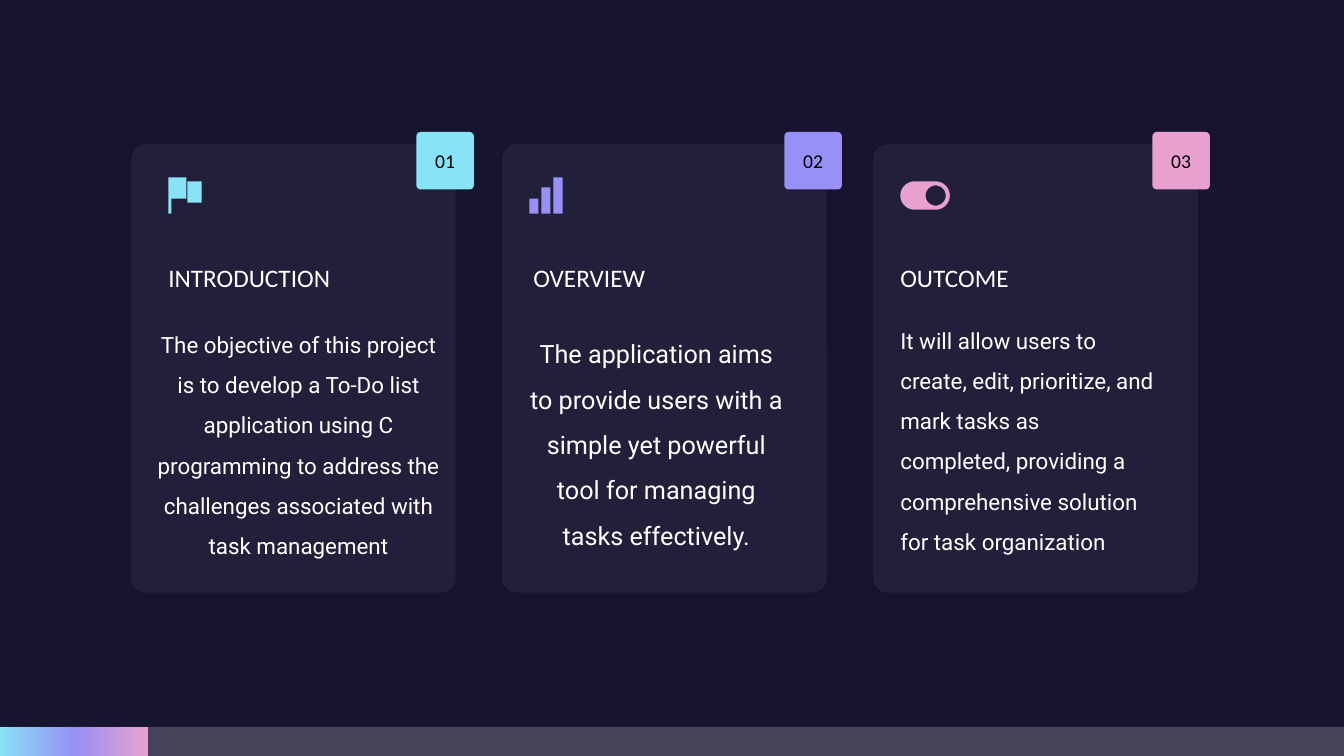
from copy import deepcopy
from dataclasses import dataclass
from math import cos, pi, sin

from lxml.etree import SubElement
from pptx import Presentation
from pptx.dml.color import RGBColor
from pptx.enum.shapes import MSO_SHAPE
from pptx.enum.text import MSO_ANCHOR, PP_ALIGN
from pptx.oxml.ns import qn
from pptx.shapes.autoshape import Shape
from pptx.slide import Slide
from pptx.text.text import TextFrame
from pptx.util import Inches, Pt

Path = list[tuple[float, float]]


@dataclass
class Card:
    title: str
    body: str
    tint: str
    icon: list[Path]
    title_left: float
    left: float
    top: float
    width: float
    height: float
    size: int
    align: PP_ALIGN


def color(code: str) -> RGBColor:
    return RGBColor.from_string(code)


def box(left: float, top: float, width: float, height: float) -> Path:
    right, base = left + width, top + height
    return [(left, top), (right, top), (right, base), (left, base)]


def arc(x: float, y: float, radius: float, start: int, end: int) -> Path:
    step = 6 if end > start else -6
    turns = [pi * angle / 180 for angle in range(start, end + step, step)]
    return [(x + radius * cos(turn), y + radius * sin(turn)) for turn in turns]


def paint(shape: Shape, code: str, alpha: int = 100) -> None:
    shape.shadow.inherit = False
    shape.line.fill.background()
    shape.fill.solid()
    shape.fill.fore_color.rgb = color(code)
    if alpha < 100:
        tone = shape._element.spPr.find(".//" + qn("a:srgbClr"))
        SubElement(tone, qn("a:alpha"), val=str(alpha * 1000))


def add_box(slide: Slide, kind: MSO_SHAPE, area: tuple[float, ...],
            code: str, alpha: int = 100, round_by: float = 0) -> Shape:
    shape = slide.shapes.add_shape(kind, *map(Inches, area))
    if round_by:
        shape.adjustments[0] = round_by
    paint(shape, code, alpha)
    return shape


def add_glow(shape: Shape) -> None:
    effects = shape._element.spPr.find(qn("a:effectLst"))
    glow = SubElement(effects, qn("a:outerShdw"), blurRad=str(Pt(7)),
                      dist="0", dir="0", algn="ctr", rotWithShape="0")
    tone = SubElement(glow, qn("a:srgbClr"), val="000000")
    SubElement(tone, qn("a:alpha"), val="20000")


def add_icon(slide: Slide, icon: list[Path], code: str) -> None:
    paths = [[(Inches(x), Inches(y)) for x, y in path] for path in icon]
    pen = slide.shapes.build_freeform(*paths[0][0])
    pen.add_line_segments(paths[0][1:])
    for path in paths[1:]:
        pen.move_to(*path[0])
        pen.add_line_segments(path[1:])
    paint(pen.convert_to_shape(), code)


def write(frame: TextFrame, text: str, font: str, size: int, code: str,
          align: PP_ALIGN, pad: float = 0.05, spacing: float = 1) -> None:
    frame.word_wrap = True
    frame.margin_left = frame.margin_right = 0
    frame.margin_top = frame.margin_bottom = Inches(pad)
    line = frame.paragraphs[0]
    line.alignment = align
    line.line_spacing = spacing
    run = line.add_run()
    run.text = text
    run.font.name = font
    run.font.size = Pt(size)
    run.font.color.rgb = color(code)


def add_text(slide: Slide, area: tuple[float, ...], text: str, font: str,
             size: int, align: PP_ALIGN, spacing: float = 1) -> None:
    frame = slide.shapes.add_textbox(*map(Inches, area)).text_frame
    write(frame, text, font, size, WHITE, align, spacing=spacing)


def add_card(slide: Slide, index: int, card: Card) -> None:
    panel = add_box(slide, MSO_SHAPE.ROUNDED_RECTANGLE,
                    (1.3 + 3.68 * index, 1.43, 3.22, 4.45), WHITE, 5, 0.046)
    add_glow(panel)
    badge = add_box(slide, MSO_SHAPE.ROUNDED_RECTANGLE,
                    (4.13 + 3.65 * index, 1.31, 0.57, 0.57), card.tint,
                    round_by=0.072)
    badge.text_frame.vertical_anchor = MSO_ANCHOR.MIDDLE
    write(badge.text_frame, f"{index + 1:02}", "Calibri", 14, "000000",
          PP_ALIGN.CENTER, pad=0)
    add_icon(slide, card.icon, card.tint)
    add_text(slide, (card.title_left, 2.55, 2.44, 0.4), card.title,
             "Calibri", 18, PP_ALIGN.LEFT)
    add_text(slide, (card.left, card.top, card.width, card.height), card.body,
             "Roboto", card.size, card.align, 1.5)


def add_bar(slide: Slide) -> None:
    add_box(slide, MSO_SHAPE.RECTANGLE, (0, 7.21, 13.33, 0.29), WHITE, 20)
    done = add_box(slide, MSO_SHAPE.RECTANGLE, (0, 7.21, 1.47, 0.29), CYAN)
    done.fill.gradient()
    done.fill.gradient_angle = 180
    stops = done._element.spPr.find(".//" + qn("a:gsLst"))
    stops.append(deepcopy(stops[-1]))
    for stop, place, code in zip(done.fill.gradient_stops, (0, 0.5, 1),
                                 (PINK, VIOLET, CYAN)):
        stop.position = place
        stop.color.rgb = color(code)


WHITE, CYAN, VIOLET, PINK = "FFFFFF", "89E3F6", "9790F5", "E8A1CF"

FLAG = [[(1.67, 1.76), (1.85, 1.76), (1.85, 1.97), (1.7, 1.97),
         (1.7, 2.12), (1.67, 2.12)], box(1.86, 1.8, 0.14, 0.21)]
BARS = [box(5.25 + 0.12 * step, 2.12 - high, 0.09, high)
        for step, high in enumerate((0.15, 0.26, 0.36))]
TOGGLE = [arc(9.28, 1.94, 0.14, -90, 90) + arc(9.07, 1.94, 0.14, 90, 270),
          arc(9.28, 1.94, 0.1, 360, 0)]

CARDS = [
    Card("INTRODUCTION", "The objective of this project is to develop a To-Do "
         "list application using C programming to address the challenges "
         "associated with task management", CYAN, FLAG,
         1.67, 1.5, 3.1, 2.92, 2.47, 16, PP_ALIGN.CENTER),
    Card("OVERVIEW", "The application aims to provide users with a simple yet "
         "powerful tool for managing tasks effectively.", VIOLET, BARS,
         5.29, 5.25, 3.16, 2.52, 2.31, 18, PP_ALIGN.CENTER),
    Card("OUTCOME", "It will allow users to create, edit, prioritize, and mark "
         "tasks as completed, providing a comprehensive solution for task "
         "organization", PINK, TOGGLE,
         8.93, 8.93, 3.06, 2.52, 2.47, 16, PP_ALIGN.LEFT),
]


def main() -> None:
    deck = Presentation()
    deck.slide_width = Inches(13.33)
    deck.slide_height = Inches(7.5)
    slide = deck.slides.add_slide(deck.slide_layouts[6])
    slide.background.fill.solid()
    slide.background.fill.fore_color.rgb = color("171430")
    for index, card in enumerate(CARDS):
        add_card(slide, index, card)
    add_bar(slide)
    deck.save("out.pptx")


if __name__ == "__main__":
    main()
